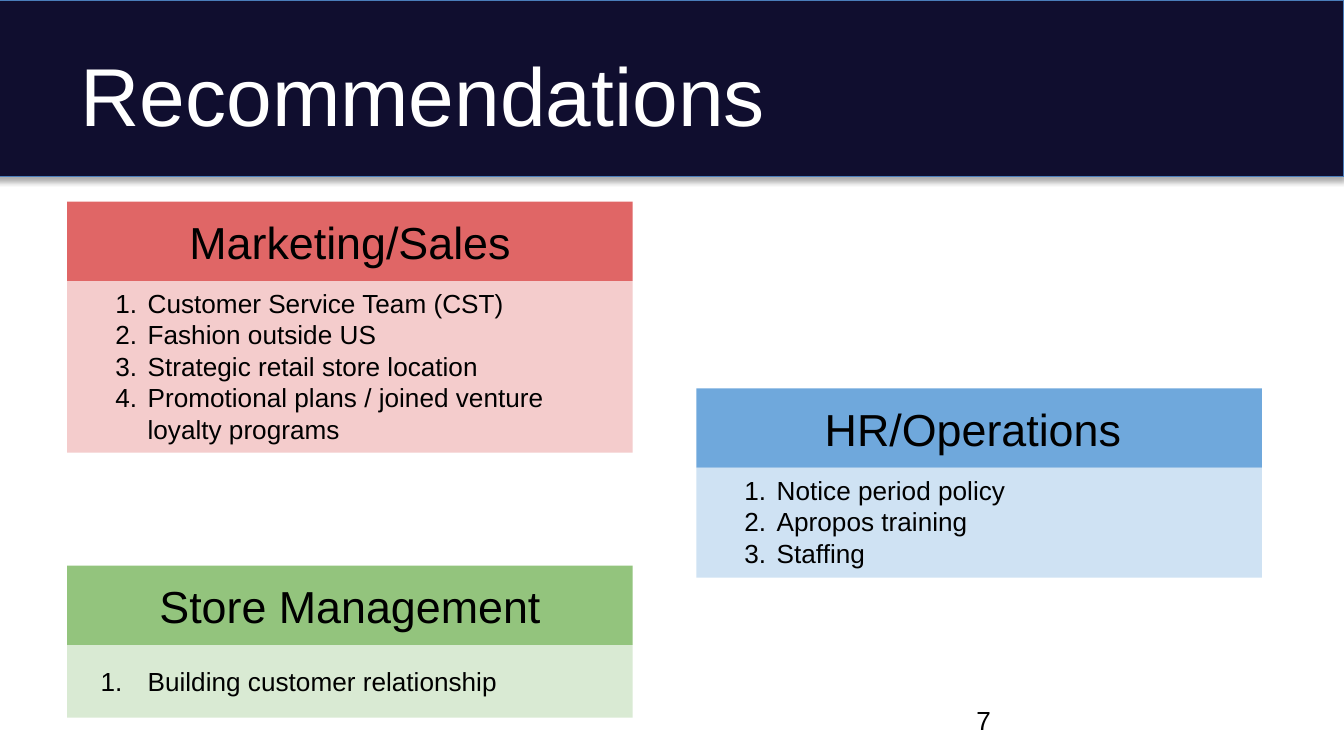
from lxml.etree import SubElement
from pptx import Presentation
from pptx.dml.color import RGBColor
from pptx.enum.shapes import MSO_SHAPE
from pptx.enum.text import MSO_ANCHOR, PP_ALIGN
from pptx.oxml.ns import qn
from pptx.util import Pt

CARD_WIDTH = 303
HEADER_HEIGHT = 42.5
LEFT_COLUMN, RIGHT_COLUMN = 36, 373


def rgb(value):
    return RGBColor.from_string(value)


class SlideBuilder:
    font = "Arial"
    ink = "000000"

    def __init__(self, slide):
        self.slide = slide

    def rectangle(self, left, top, width, height, fill, line=None):
        box = self.slide.shapes.add_shape(
            MSO_SHAPE.RECTANGLE, Pt(left), Pt(top), Pt(width), Pt(height))
        box.shadow.inherit = False
        box.fill.solid()
        box.fill.fore_color.rgb = rgb(fill)
        if line:
            box.line.color.rgb = rgb(line)
            box.line.width = Pt(0.75)
        else:
            box.line.fill.background()
        return box

    def fill_text(self, box, lines, size, color=ink, align=PP_ALIGN.LEFT,
                  anchor=MSO_ANCHOR.TOP, vertical_inset=3.6):
        frame = box.text_frame
        frame.word_wrap = True
        frame.vertical_anchor = anchor
        frame.margin_left = frame.margin_right = Pt(7.2)
        frame.margin_top = frame.margin_bottom = Pt(vertical_inset)
        for index, line in enumerate(lines):
            para = frame.paragraphs[0] if index == 0 else frame.add_paragraph()
            para.text = line
            para.alignment = align
            para.font.name = self.font
            para.font.size = Pt(size)
            para.font.color.rgb = rgb(color)
        return frame

    def text(self, left, top, width, height, line, size, color=ink):
        box = self.slide.shapes.add_textbox(
            Pt(left), Pt(top), Pt(width), Pt(height))
        self.fill_text(box, [line], size, color, anchor=MSO_ANCHOR.MIDDLE)

    def banner(self, height, fill, line):
        box = self.rectangle(-3, 0, 723, height, fill, line)
        effects = box._element.spPr.find(qn("a:effectLst"))
        shadow = SubElement(effects, qn("a:outerShdw"), blurRad=str(Pt(3.1)),
                            dist=str(Pt(1.8)), dir="5400000", rotWithShape="0")
        color = SubElement(shadow, qn("a:srgbClr"), val="000000")
        SubElement(color, qn("a:alpha"), val="33000")

    def card(self, left, top, body_height, heading, items, header_fill,
             body_fill, hanging=17.3, anchor=MSO_ANCHOR.TOP):
        # Numbered list
        body = self.rectangle(left, top + HEADER_HEIGHT, CARD_WIDTH,
                              body_height, body_fill)
        frame = self.fill_text(body, items, 14, anchor=anchor)
        for para in frame.paragraphs:
            properties = para._p.get_or_add_pPr()
            properties.set("marL", str(Pt(36)))
            properties.set("indent", str(-Pt(hanging)))
            bullet_color = SubElement(properties, qn("a:buClr"))
            SubElement(bullet_color, qn("a:srgbClr"), val=self.ink)
            SubElement(properties, qn("a:buFont"), typeface=self.font)
            SubElement(properties, qn("a:buAutoNum"), type="arabicPeriod")
            # Schema order: text defaults follow the bullet
            properties.append(properties.find(qn("a:defRPr")))

        # Heading
        header = self.rectangle(left, top, CARD_WIDTH, HEADER_HEIGHT,
                                header_fill)
        self.fill_text(header, [heading], 24, align=PP_ALIGN.CENTER,
                       vertical_inset=7.2)


def main():
    deck = Presentation()
    deck.slide_width, deck.slide_height = Pt(720), Pt(405)
    page = SlideBuilder(deck.slides.add_slide(deck.slide_layouts[6]))

    # Title banner and page number
    page.banner(94.5, "100E2F", "4A7DBA")
    page.text(36, 16.5, 648, 67.5, "Recommendations", 44, "FFFFFF")
    page.text(516, 375, 168, 21.6, "7", 14)

    # Recommendation cards
    page.card(LEFT_COLUMN, 108, 92, "Marketing/Sales",
              ["Customer Service Team (CST)",
               "Fashion outside US",
               "Strategic retail store location",
               "Promotional plans / joined venture loyalty programs"],
              "E06666", "F4CCCC")
    page.card(RIGHT_COLUMN, 208, 59, "HR/Operations ",
              ["Notice period policy", "Apropos training", "Staffing"],
              "6FA8DC", "CFE2F3")
    page.card(LEFT_COLUMN, 303, 39, "Store Management",
              ["Building customer relationship"],
              "93C47D", "D9EAD3", hanging=25.2, anchor=MSO_ANCHOR.MIDDLE)

    deck.save("out.pptx")


if __name__ == "__main__":
    main()
